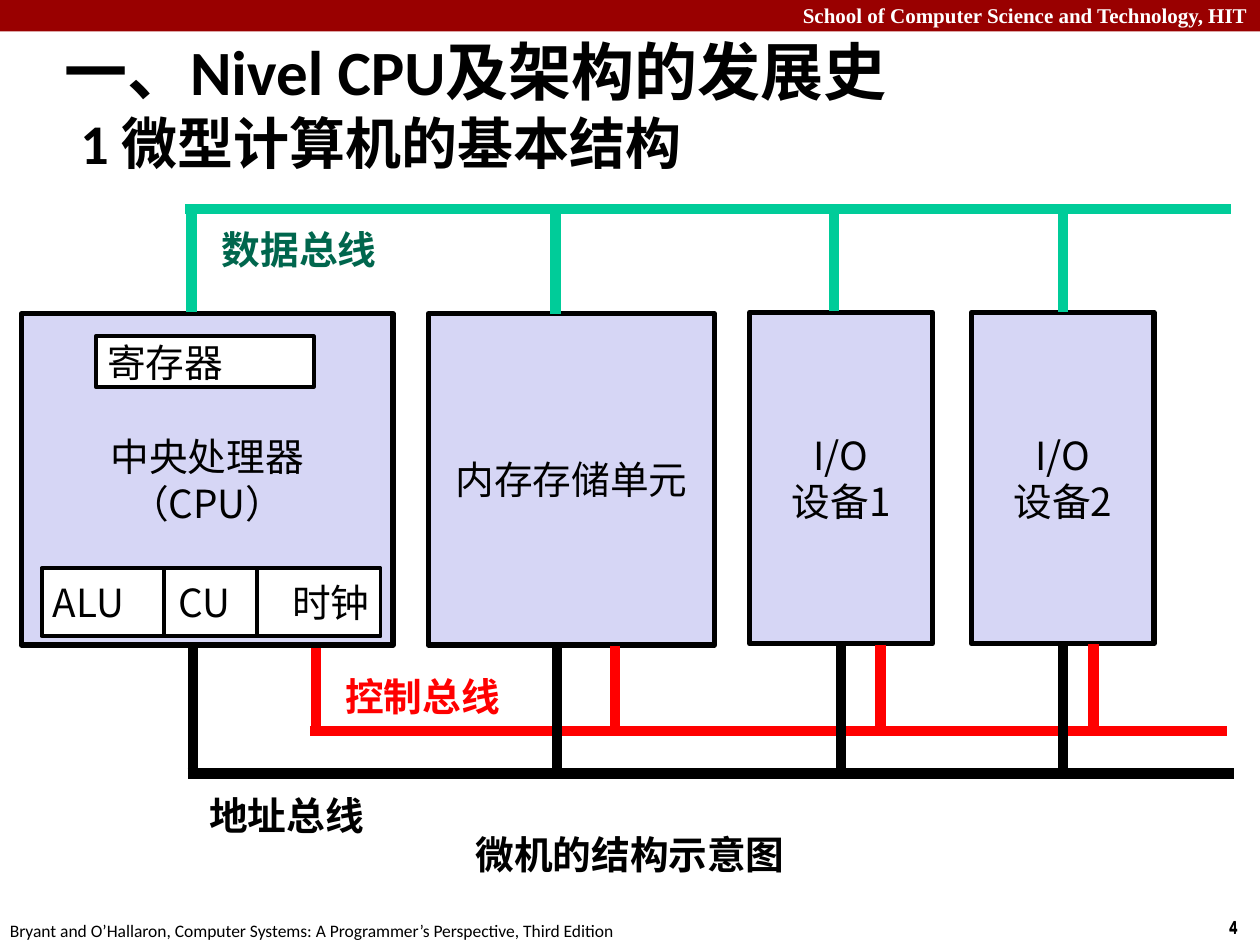
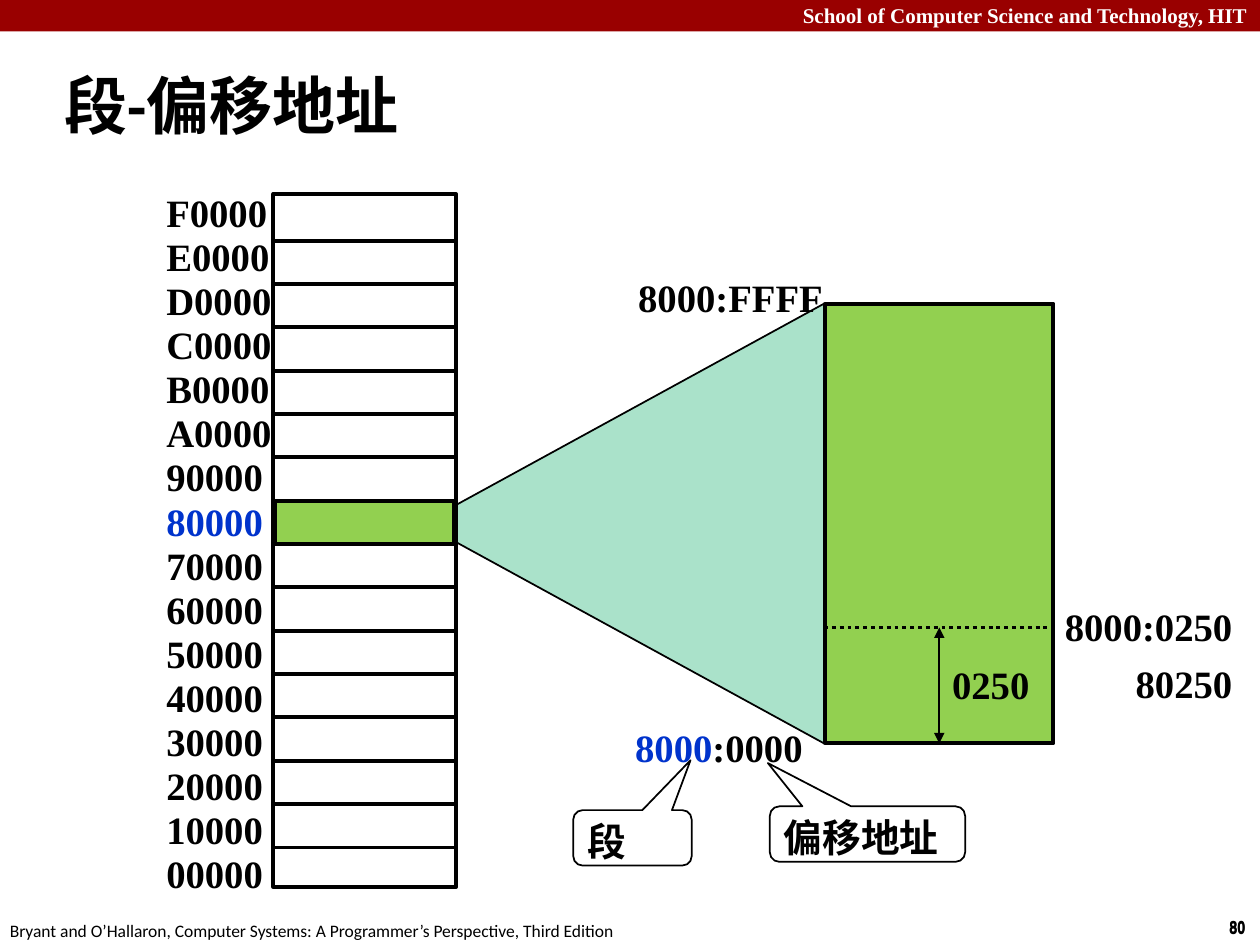
from lxml.etree import SubElement
from pptx import Presentation
from pptx.dml.color import RGBColor
from pptx.enum.dml import MSO_LINE
from pptx.enum.shapes import MSO_CONNECTOR, MSO_SHAPE
from pptx.enum.text import MSO_ANCHOR, PP_ALIGN
from pptx.oxml.ns import qn
from pptx.util import Inches, Pt

COLS, ROWS = 100, 75
BLACK, WHITE, CRIMSON = "000000", "FFFFFF", "990000"
LAVENDER, LIME, MINT = "D6D6F5", "92D050", "AAE2CA"
GREEN, DARK_GREEN, RED, BLUE = "00CC99", "00664D", "FF0000", "0033CC"
SANS, SERIF, NARROW, TITLE = "Noto Sans CJK SC", "Times New Roman", "Arial Narrow", "Calibri"
TIGHT, ROOMY = (0.09, 0.04), (0.1, 0.05)
LEFT, CENTER, RIGHT = PP_ALIGN.LEFT, PP_ALIGN.CENTER, PP_ALIGN.RIGHT
TOP, MIDDLE = MSO_ANCHOR.TOP, MSO_ANCHOR.MIDDLE


def rgb(value):
    return RGBColor.from_string(value)


def apply(target, values):
    for name, value in values.items():
        setattr(target, name, value)


class Deck:
    """Shared style and the current slide; lengths are grid columns and rows."""

    def __init__(self):
        self.prs = Presentation()
        apply(self.prs, {"slide_width": Inches(10), "slide_height": Inches(7.5)})

    def x(self, cols):
        return round(self.prs.slide_width * cols / COLS)

    def y(self, rows):
        return round(self.prs.slide_height * rows / ROWS)

    def box(self, at):
        left, top, width, height = at
        return self.x(left), self.y(top), self.x(width), self.y(height)

    def new_slide(self, number, title):
        self.s = self.prs.slides.add_slide(self.prs.slide_layouts[6])
        # Top band, page number and footer
        self.shape((0, 0, 100, 2.5), CRIMSON)
        self.text((0, -0.3, 100, 3), ["School of Computer Science and Technology, HIT"],
                  size=12, font=SERIF, color=WHITE, bold=True, align=RIGHT,
                  inset=ROOMY, wrap=True)
        for top in (72.3, 72.2):
            self.text((96.6, top, 3.4, 2.7), [str(number)], size=10, font=NARROW,
                      bold=True, inset=ROOMY)
        self.text((-0.2, 72.5, 50.8, 2.7),
                  ["Bryant and O’Hallaron, Computer Systems: "
                   "A Programmer’s Perspective, Third Edition"],
                  size=10, font=TITLE, inset=ROOMY)
        # Title
        sp = self.text((4.1, 4.1, 95.8, 8.3), [title], size=36, font=TITLE, bold=True,
                       anchor=MIDDLE, inset=ROOMY, wrap=True)
        pPr = sp.text_frame.paragraphs[0]._p.get_or_add_pPr()
        pPr.set("marL", str(Inches(0.13)))
        pPr.set("indent", str(-Inches(0.13)))

    def shape(self, at, fill=None, line=None, kind=MSO_SHAPE.RECTANGLE, adj=()):
        sp = self.s.shapes.add_shape(kind, *self.box(at))
        sp.shadow.inherit = False
        for i, value in enumerate(adj):
            sp.adjustments[i] = value
        if fill:
            sp.fill.solid()
            sp.fill.fore_color.rgb = rgb(fill)
        else:
            sp.fill.background()
        if line:
            sp.line.color.rgb = rgb(BLACK)
            sp.line.width = Pt(line)
        else:
            sp.line.fill.background()
        return sp

    def label(self, sp, paras, size=22.1, font=SANS, color=BLACK, bold=False, align=LEFT,
              anchor=TOP, inset=TIGHT, wrap=False, **spacing):
        """Each paragraph is a string or a list of (text, overrides) runs."""
        tf = sp.text_frame
        across, down = map(Inches, inset)
        apply(tf, {"word_wrap": wrap, "vertical_anchor": anchor, "margin_left": across,
                   "margin_right": across, "margin_top": down, "margin_bottom": down})
        for i, para in enumerate(paras):
            p = tf.add_paragraph() if i else tf.paragraphs[0]
            apply(p, {"alignment": align, **spacing})
            for text, own in [(para, {})] if isinstance(para, str) else para:
                if text == "\n":
                    p.add_line_break()
                    continue
                r = p.add_run()
                r.text = text
                apply(r.font, {"size": Pt(own.get("size", size)), "name": font, "bold": bold})
                r.font.color.rgb = rgb(own.get("color", color))
                SubElement(r._r.get_or_add_rPr(), qn("a:ea")).set("typeface", SANS)
        return sp

    def text(self, at, paras, **style):
        return self.label(self.s.shapes.add_textbox(*self.box(at)), paras, **style)

    def line(self, x1, y1, x2, y2, width, color=BLACK, dash=None, arrows=False, end=None):
        c = self.s.shapes.add_connector(MSO_CONNECTOR.STRAIGHT, self.x(x1), self.y(y1),
                                        self.x(x2), self.y(y2))
        c.line.color.rgb = rgb(color)
        c.line.width = Pt(width)
        if dash:
            c.line.dash_style = dash
        if arrows:
            for tag in ("a:headEnd", "a:tailEnd"):
                SubElement(c.line._get_or_add_ln(), qn(tag)).set("type", "triangle")
        SubElement(c._element.spPr, qn("a:effectLst"))
        if end:
            c.end_connect(*end)


def computer_structure(deck):
    deck.new_slide(4, [("一、Nivel CPU及架构的发展史", {}), ("\n", {}),
                       ("1 微型计算机的基本结构", {"size": 32})])
    deck.text((0, 65.5, 100, 4.5), ["微机的结构示意图"], bold=True, align=CENTER, wrap=True)

    # Units hanging on the buses
    units = [((1.7, 24.9, 29.5, 26.3), ["中央处理器", "（CPU）"]),
             ((34, 24.9, 22.7, 26.3), ["内存存储单元"]),
             ((59.5, 24.8, 14.5, 26.3), ["I/O", "设备1"]),
             ((77.1, 24.8, 14.5, 26.3), ["I/O", "设备2"])]
    cpu, memory, io1, io2 = [
        deck.label(deck.shape(at, LAVENDER, 3), name, align=CENTER, anchor=MIDDLE)
        for at, name in units]

    # Parts inside the CPU
    deck.label(deck.shape((7.6, 26.7, 17.3, 4), WHITE, 2.25), ["寄存器"], anchor=MIDDLE)
    parts = deck.label(deck.shape((3.3, 45.1, 26.9, 5.4), WHITE, 2.25),
                       ["ALU\tCU\t时钟"], anchor=MIDDLE)
    tabs = SubElement(parts.text_frame.paragraphs[0]._p.get_or_add_pPr(), qn("a:tabLst"))
    for stop in (1, 1.9):
        tab = SubElement(tabs, qn("a:tab"))
        tab.set("pos", str(Inches(stop)))
        tab.set("algn", "l")
    for x in (13, 20.4):
        deck.line(x, 45.1, x, 50.5, 2.25)

    # Buses: trunk (left, right, row), then one branch per unit
    io1_mid, io2_mid = 66.75, 84.35
    buses = [
        (GREEN, (14.7, 97.7, 16.6), 16.4,
         [(15.2, 24.8, None), (44.1, 24.9, None), (66.2, 24.7, None), (io2_mid, 24.8, (io2, 0))]),
        (RED, (24.6, 97.4, 58), 57.7,
         [(25.1, 51.4, None), (48.8, 51.3, None), (69.9, 51.2, None), (86.8, 51.1, None)]),
        (BLACK, (14.9, 97.9, 61.4), 61.7,
         [(15.3, 51.4, None), (44.2, 51.1, None), (io1_mid, 51.1, (io1, 2)),
          (io2_mid, 51.1, (io2, 2))])]
    for color, (left, right, row), start, branches in buses:
        deck.line(left, row, right, row, 6, color)
        for x, stop, joint in branches:
            deck.line(x, start, x, stop, 6, color, end=joint)

    # Bus names
    for at, name, color in [((15.7, 62.4, 17.2, 4.5), "地址总线", BLACK),
                            ((26.5, 53, 15.1, 3.9), "控制总线", RED),
                            ((16.7, 17.5, 16.2, 4.2), "数据总线", DARK_GREEN)]:
        deck.label(deck.shape(at, WHITE), [name], color=color, bold=True)


def segment_offset(deck):
    deck.new_slide(80, "段-偏移地址")
    serif = {"font": SERIF, "bold": True, "anchor": MIDDLE}

    # Segment 8000 enlarged
    zoom = deck.shape((32, 25.6, 34.9, 31.9), MINT, 1, MSO_SHAPE.ISOSCELES_TRIANGLE)
    zoom.rotation = 270
    segment = deck.shape((65.5, 24.1, 18.1, 34.9), LIME, 2.25)
    deck.text((49.5, 56.9, 15.1, 4.7), [[("8000", {"color": BLUE}), (":0000", {})]],
              align=RIGHT, **serif)
    deck.text((49.5, 21.2, 16.7, 4.7), ["8000:FFFF"], align=RIGHT, **serif)

    # Callouts for the two halves of an address
    for at, adj, name in [((45.5, 64.3, 9.4, 4.4), (0.49, -1.4, 0.17), "段"),
                          ((61.1, 64, 15.5, 4.4), (-0.51, -1.28, 0.17), "偏移地址")]:
        sp = deck.shape(at, None, 1, MSO_SHAPE.ROUNDED_RECTANGULAR_CALLOUT, adj)
        deck.label(sp, [name], font=NARROW, bold=True, wrap=True)

    # Memory map: sixteen segments, the eighth from the top marked
    left, width, first, step = 21.75, 14.5, 19.1, 3.44
    deck.shape((21.7, 15.4, width, 55), None, 2.25)
    addresses = [[(f"{n:X}0000", {"color": BLUE if n == 8 else BLACK})]
                 for n in range(15, -1, -1)]
    deck.text((12.3, 15.1, 10.4, 56.3), addresses, line_spacing=0.95, **serif)
    for i in range(15):
        row = first + i * step
        deck.line(left, row, left + width, row, 2.25)
    deck.shape((21.8, first + 6 * step, 14.2, step), LIME, 2.25)

    # Offset 0250 inside the segment
    deck.text((83.6, 48.8, 15.1, 6.3), ["8000:0250", "80250"], align=RIGHT,
              space_before=Pt(5.5), **serif)
    deck.line(74.55, 49.8, 74.55, 59, 1, arrows=True, end=(segment, 2))
    deck.text((67.5, 51.9, 15.1, 4.7), ["0250"], align=RIGHT, **serif)
    deck.line(65.4, 49.8, 83.6, 49.8, 2.25, dash=MSO_LINE.ROUND_DOT)


def main():
    deck = Deck()
    computer_structure(deck)
    segment_offset(deck)
    deck.prs.save("out.pptx")


if __name__ == "__main__":
    main()
